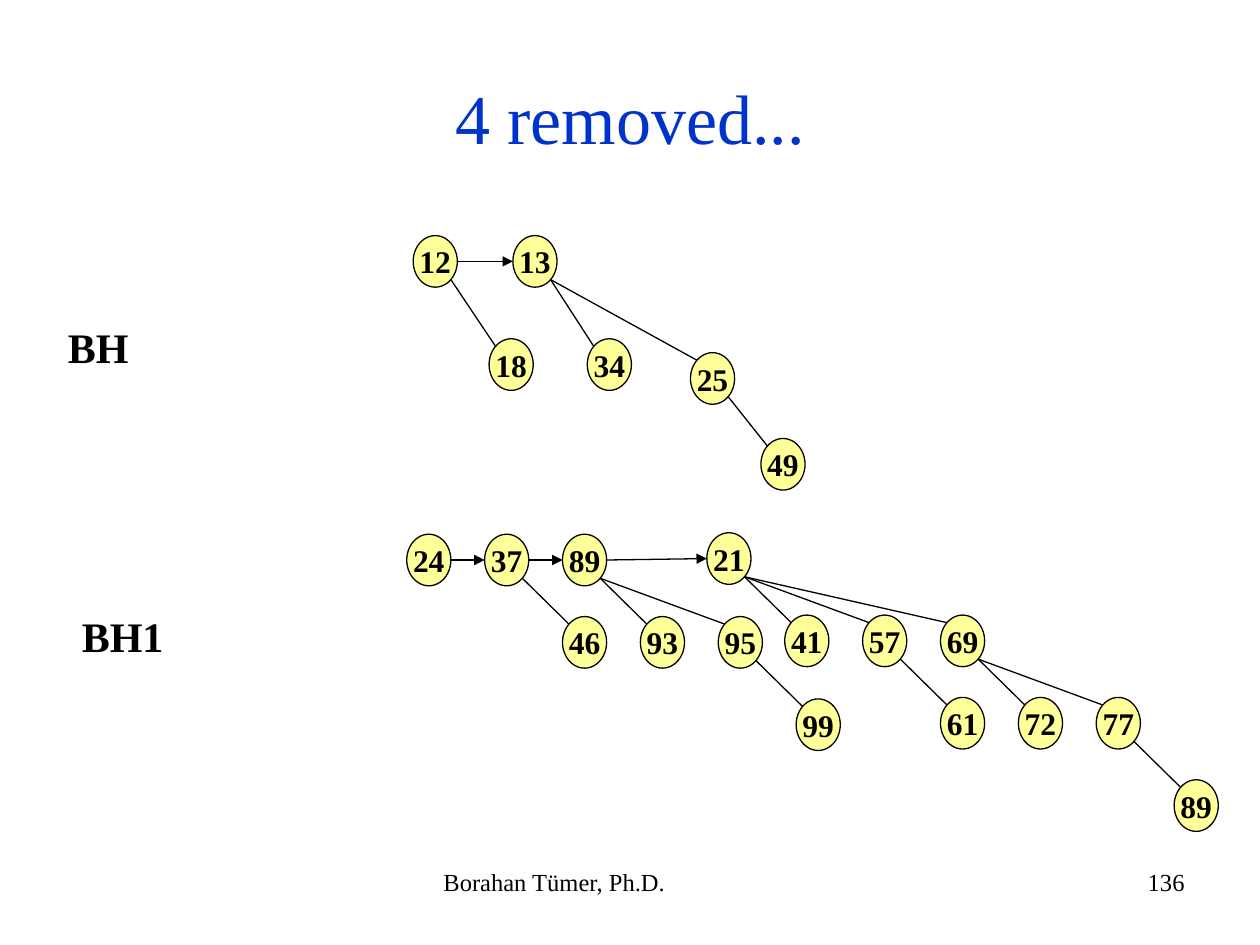
from dataclasses import dataclass
from math import sqrt

from lxml import etree
from pptx import Presentation, util as u
from pptx.dml.color import RGBColor
from pptx.enum import shapes, text
from pptx.oxml import ns

COLOURS = {"ink": "000000", "title": "0033CC", "node": "FFFF99"}
FONT = "Times New Roman"
NODE_WIDTH, NODE_HEIGHT = 0.89, 1.04
COLUMN_STEP, ROW_STEP = 1.57, 1.66
# Distance of an ellipse's diagonal point from the corner of its frame
DIAGONAL = (1 - sqrt(0.5)) / 2


@dataclass(frozen=True)
class Node:
    """A heap key; offset from its parent in cm, or None for the regular grid."""
    key: int
    children: tuple["Node", ...] = ()
    offset: tuple[float, float] | None = None


@dataclass(frozen=True)
class Root:
    left: float
    top: float
    node: Node


@dataclass(frozen=True)
class Label:
    words: str
    left: float
    top: float
    width: float
    height: float
    size: int
    bold: bool = False
    colour: str = "ink"
    align: text.PP_ALIGN = text.PP_ALIGN.LEFT
    anchor: text.MSO_ANCHOR = text.MSO_ANCHOR.TOP


BINOMIAL_HEAPS = (
    (
        Root(8.33, 4.75, Node(12, (Node(18, offset=(1.53, 2.08)),))),
        Root(10.34, 4.75, Node(13, (
            Node(34, offset=(1.5, 2.08)),
            Node(25, (Node(49, offset=(1.42, 1.73)),), offset=(3.58, 2.36)),
        ))),
    ),
    (
        Root(8.2, 10.77, Node(24)),
        Root(8.2 + COLUMN_STEP, 10.77, Node(37, (Node(46),))),
        Root(8.2 + 2 * COLUMN_STEP, 10.77,
             Node(89, (Node(93), Node(95, (Node(99),))))),
        Root(14.25, 10.74, Node(21, (
            Node(41),
            Node(57, (Node(61),)),
            Node(69, (Node(72), Node(77, (Node(89),)))),
        ))),
    ),
)

LABELS = (
    Label("4 removed...", 1.27, 0.76, 22.86, 3.18, 40, colour="title",
          align=text.PP_ALIGN.CENTER, anchor=text.MSO_ANCHOR.MIDDLE),
    Label("BH", 1.12, 6.35, 2.67, 1.27, 24, bold=True),
    Label("BH1", 1.4, 12.19, 2.67, 1.27, 24, bold=True),
    Label("Borahan Tümer, Ph.D.", 8.69, 17.35, 8.05, 1.32, 14),
    Label("136", 18.21, 17.35, 5.92, 1.32, 14, align=text.PP_ALIGN.RIGHT),
)


def colour(name: str) -> RGBColor:
    return RGBColor.from_string(COLOURS[name])


def add_run(paragraph, words: str, size: int, bold: bool, colour_name: str) -> None:
    run = paragraph.add_run()
    run.text = words
    run.font.name = FONT
    run.font.size = u.Pt(size)
    run.font.bold = bold
    run.font.color.rgb = colour(colour_name)


def draw_label(slide, label: Label) -> None:
    box = slide.shapes.add_textbox(
        u.Cm(label.left), u.Cm(label.top), u.Cm(label.width), u.Cm(label.height))
    frame = box.text_frame
    frame.word_wrap = True
    frame.vertical_anchor = label.anchor
    paragraph = frame.paragraphs[0]
    paragraph.alignment = label.align
    add_run(paragraph, label.words, label.size, label.bold, label.colour)


def draw_link(slide, start: tuple[float, float], end: tuple[float, float],
              arrow: bool = False) -> None:
    link = slide.shapes.add_connector(
        shapes.MSO_CONNECTOR.STRAIGHT, *map(u.Cm, start + end))
    link.line.color.rgb = colour("ink")
    link.line.width = u.Pt(0.75)
    if arrow:
        etree.SubElement(link.line._get_or_add_ln(), ns.qn("a:tailEnd"),
                         type="triangle")
    etree.SubElement(link._element.spPr, ns.qn("a:effectLst"))


def draw_node(slide, key: int, left: float, top: float) -> None:
    ellipse = slide.shapes.add_shape(
        shapes.MSO_SHAPE.OVAL,
        u.Cm(left), u.Cm(top), u.Cm(NODE_WIDTH), u.Cm(NODE_HEIGHT))
    ellipse.shadow.inherit = False
    ellipse.fill.solid()
    ellipse.fill.fore_color.rgb = colour("node")
    ellipse.line.color.rgb = colour("ink")
    ellipse.line.width = u.Pt(0.75)
    frame = ellipse.text_frame
    frame.word_wrap = False
    frame.vertical_anchor = text.MSO_ANCHOR.MIDDLE
    paragraph = frame.paragraphs[0]
    paragraph.alignment = text.PP_ALIGN.CENTER
    add_run(paragraph, str(key), 18, True, "ink")


def draw_tree(slide, node: Node, left: float, top: float) -> None:
    """Draw a node, then its children one row down and one column apart."""
    draw_node(slide, node.key, left, top)
    inset_x, inset_y = NODE_WIDTH * DIAGONAL, NODE_HEIGHT * DIAGONAL
    for column, child in enumerate(node.children, start=1):
        across, down = child.offset or (column * COLUMN_STEP, ROW_STEP)
        child_left, child_top = left + across, top + down
        draw_link(slide,
                  (left + NODE_WIDTH - inset_x, top + NODE_HEIGHT - inset_y),
                  (child_left + inset_x, child_top + inset_y))
        draw_tree(slide, child, child_left, child_top)


def draw_heap(slide, roots: tuple[Root, ...]) -> None:
    """Draw the trees and the arrows that chain their roots."""
    for root in roots:
        draw_tree(slide, root.node, root.left, root.top)
    for root, following in zip(roots, roots[1:]):
        draw_link(slide,
                  (root.left + NODE_WIDTH, root.top + NODE_HEIGHT / 2),
                  (following.left, following.top + NODE_HEIGHT / 2),
                  arrow=True)


def main() -> None:
    presentation = Presentation()
    presentation.slide_width = u.Cm(25.4)
    presentation.slide_height = u.Cm(19.05)
    slide = presentation.slides.add_slide(presentation.slide_layouts[6])
    for label in LABELS:
        draw_label(slide, label)
    for roots in BINOMIAL_HEAPS:
        draw_heap(slide, roots)
    presentation.save("out.pptx")


if __name__ == "__main__":
    main()
